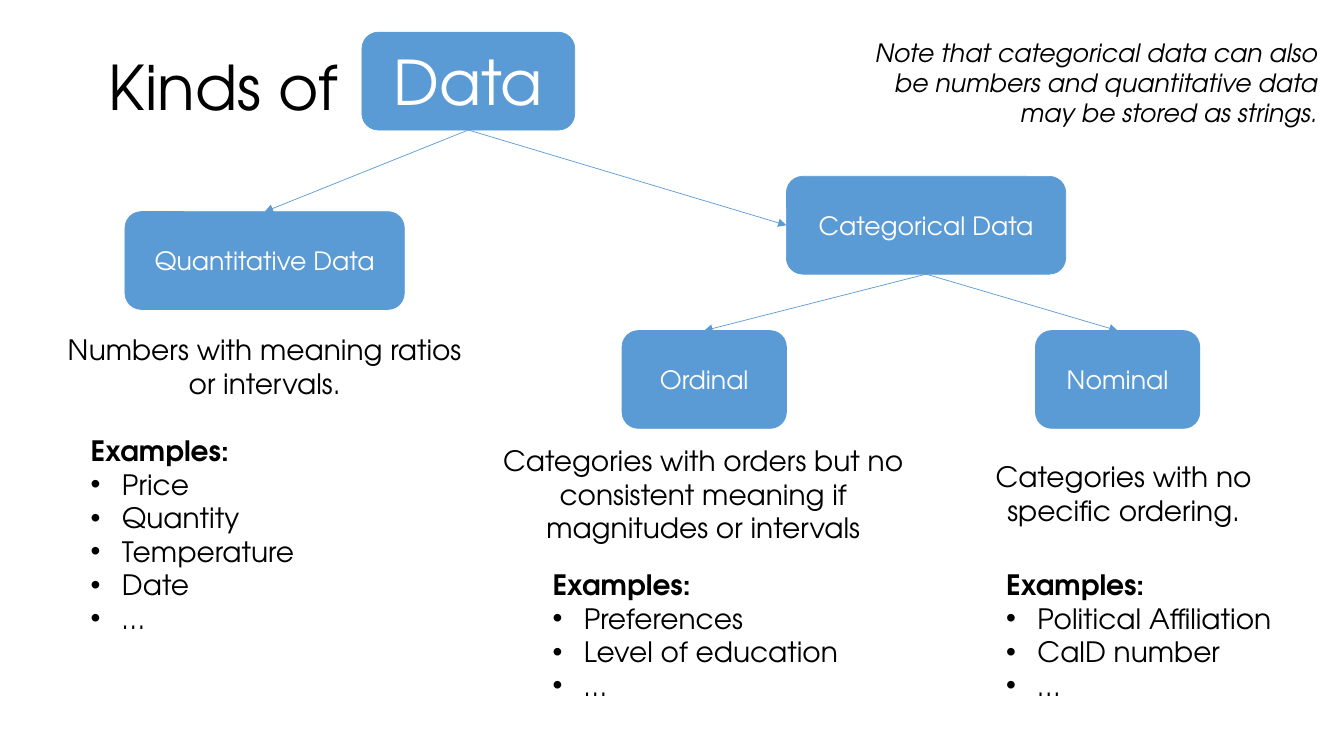
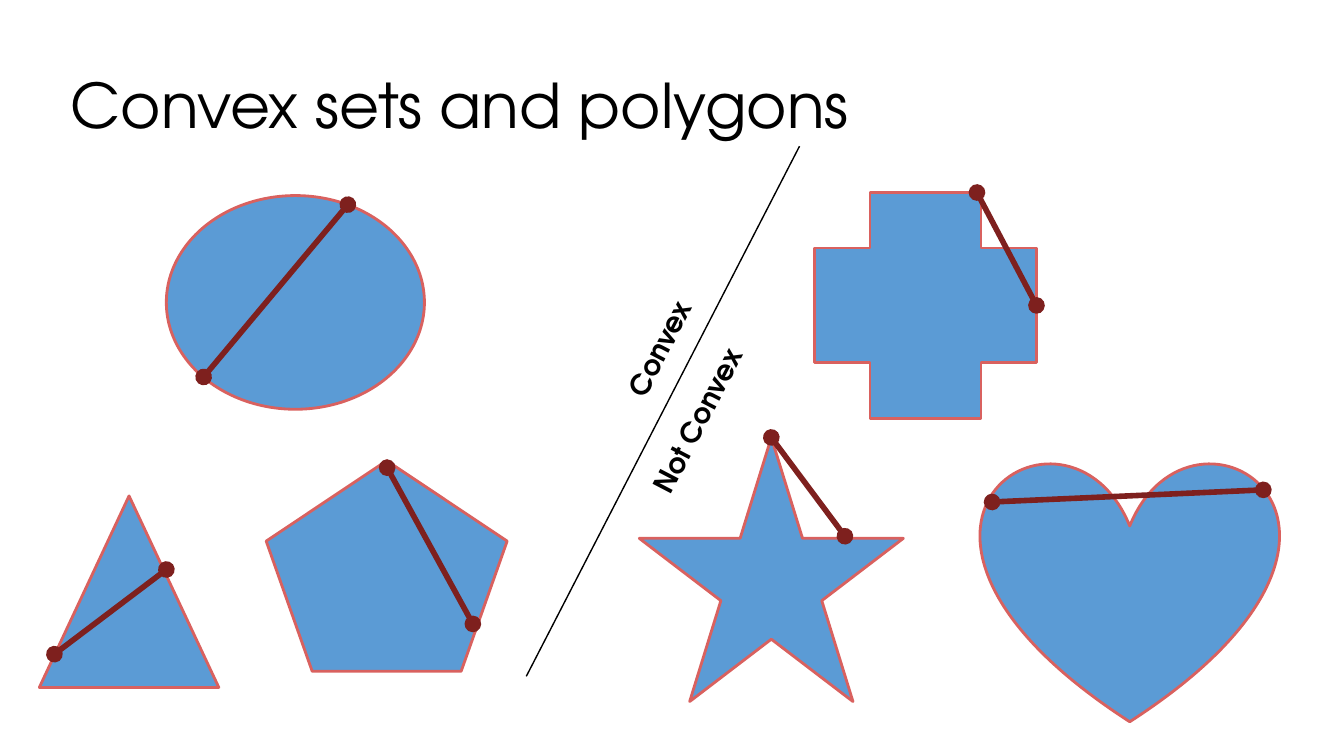
from dataclasses import dataclass

from lxml import etree
from pptx import Presentation
from pptx.dml.color import RGBColor
from pptx.enum.shapes import MSO_CONNECTOR, MSO_SHAPE
from pptx.enum.text import MSO_ANCHOR, MSO_AUTO_SIZE, PP_ALIGN
from pptx.oxml.ns import qn
from pptx.util import Pt

# Shared look: 100 px to the inch
PX = 9144
FONT = "TeX Gyre Adventor"
BLUE = RGBColor(0x5B, 0x9B, 0xD5)
CORAL = RGBColor(0xD9, 0x61, 0x5F)
MAROON = RGBColor(0x7E, 0x20, 0x1E)
BLACK = RGBColor(0, 0, 0)
WHITE = RGBColor(255, 255, 255)

LEFT, CENTER, RIGHT = PP_ALIGN.LEFT, PP_ALIGN.CENTER, PP_ALIGN.RIGHT
TOP, MIDDLE = MSO_ANCHOR.TOP, MSO_ANCHOR.MIDDLE
NO_FIT = MSO_AUTO_SIZE.NONE
STRAIGHT = MSO_CONNECTOR.STRAIGHT
ROUND = MSO_SHAPE.ROUNDED_RECTANGLE
OVAL = MSO_SHAPE.OVAL
TRIANGLE = MSO_SHAPE.ISOSCELES_TRIANGLE
PENTAGON = MSO_SHAPE.REGULAR_PENTAGON
CROSS = MSO_SHAPE.CROSS
HEART = MSO_SHAPE.HEART
STAR = MSO_SHAPE.STAR_5_POINT

# Layouts and the connection sites of a rounded box
COMPARE, TITLE_ONLY = 4, 5
UP, SIDE, DOWN = 0, 1, 2
INDENT = 31
TILT = 297.5


@dataclass(frozen=True)
class Box:
    left: int
    top: int
    width: int
    height: int

    def emu(self) -> tuple:
        return tuple(n * PX for n in (self.left, self.top, self.width, self.height))


@dataclass(frozen=True)
class Style:
    size: int = 20
    color: RGBColor = BLACK
    bold: bool = False
    italic: bool = False
    align: PP_ALIGN = LEFT
    anchor: MSO_ANCHOR = TOP


@dataclass(frozen=True)
class Node:
    name: str
    box: Box
    size: int = 18
    boss: str = ""
    site: int = UP


@dataclass(frozen=True)
class Group:
    slot: int
    box: Box
    items: tuple
    about: tuple
    place: Box


@dataclass(frozen=True)
class Figure:
    kind: MSO_SHAPE
    box: Box
    chord: tuple


HEAD = Style(size=44, anchor=MIDDLE)
BODY = Style()
BOLD = Style(bold=True)
ABOUT = Style(align=CENTER)
NOTE = Style(size=18, italic=True, align=RIGHT)

# Slide 1 content
NODES = (
    Node("Data", Box(359, 32, 211, 97), size=44),
    Node("Quantitative Data", Box(124, 210, 277, 97), boss="Data"),
    Node("Categorical Data", Box(780, 175, 277, 97), boss="Data", site=SIDE),
    Node("Ordinal", Box(617, 328, 163, 97), boss="Categorical Data"),
    Node("Nominal", Box(1027, 328, 163, 97), boss="Categorical Data"),
)
GROUPS = (
    Group(2, Box(80, 425, 226, 212),
          ("Price", "Quantity", "Temperature", "Date", "…"),
          ("Numbers with meaning ratios or intervals.",),
          Box(50, 325, 425, 77)),
    Group(4, Box(538, 558, 308, 145),
          ("Preferences", "Level of education", "…"),
          ("Categories with orders but no consistent meaning if "
           "magnitudes or intervals",),
          Box(485, 435, 425, 111)),
    Group(1, Box(988, 558, 289, 178),
          ("Political Affiliation", "CalD number", "…"),
          ("Categories with no", "specific ordering."),
          Box(902, 451, 425, 77)),
)
NOTE_SLOT = 3
NOTE_TEXT = ("Note that categorical data can also be numbers and "
             "quantitative data may be stored as strings.")

# Slide 2 content
FIGURES = (
    Figure(OVAL, Box(165, 194, 256, 212), (345, 203, 202, 374)),
    Figure(TRIANGLE, Box(39, 492, 178, 190), (165, 565, 54, 649)),
    Figure(PENTAGON, Box(264, 457, 239, 209), (384, 464, 469, 619)),
    Figure(CROSS, Box(808, 191, 220, 224), (969, 191, 1028, 303)),
    Figure(HEART, Box(973, 457, 295, 259), (984, 498, 1253, 486)),
    Figure(STAR, Box(634, 434, 262, 262), (765, 434, 838, 532)),
)
SPLIT = (793, 145, 522, 671)
LABELS = (
    ("Convex", Box(592, 322, 126, 44)),
    ("Not Convex", Box(602, 393, 182, 44)),
)


def dress(para, style: Style) -> None:
    """Format one paragraph and its runs."""
    para.alignment = style.align
    para.space_before = Pt(0)
    for run in para.runs:
        font = run.font
        font.name = FONT
        font.size = Pt(style.size)
        font.bold = style.bold
        font.italic = style.italic
        font.color.rgb = style.color


def mark(para, dot: bool) -> None:
    """Give a paragraph a hanging bullet, or clear an inherited one."""
    props = para._p.get_or_add_pPr()
    step = INDENT * PX if dot else 0
    props.set("marL", str(step))
    props.set("indent", str(-step))
    if dot:
        etree.SubElement(props, qn("a:buFont")).set("typeface", "Arial")
        etree.SubElement(props, qn("a:buChar")).set("char", "•")
    else:
        etree.SubElement(props, qn("a:buNone"))


def write(shape, lines: tuple, style: Style, wrap: bool = True) -> list:
    """Fill a shape with one paragraph a line."""
    frame = shape.text_frame
    frame.text = "\n".join(lines)
    frame.word_wrap = wrap
    frame.auto_size = NO_FIT
    frame.vertical_anchor = style.anchor
    for para in frame.paragraphs:
        dress(para, style)
    return list(frame.paragraphs)


def place(shape, box: Box):
    shape.left, shape.top, shape.width, shape.height = box.emu()
    return shape


def add_title(slide, text: str, box: Box) -> None:
    for para in write(place(slide.shapes.title, box), (text,), HEAD):
        para.line_spacing = 0.9


def add_text(slide, lines: tuple, box: Box, style: Style, wrap: bool = True):
    shape = slide.shapes.add_textbox(*box.emu())
    write(shape, lines, style, wrap)
    return shape


def add_form(slide, kind: MSO_SHAPE, box: Box, edge: RGBColor, width: float):
    shape = slide.shapes.add_shape(kind, *box.emu())
    shape.shadow.inherit = False
    shape.fill.solid()
    shape.fill.fore_color.rgb = BLUE
    shape.line.color.rgb = edge
    shape.line.width = Pt(width)
    return shape


def add_line(slide, ends: tuple, color: RGBColor, width: float,
             head: str = "", tail: str = ""):
    line = slide.shapes.add_connector(STRAIGHT, *(n * PX for n in ends))
    line.line.color.rgb = color
    line.line.width = Pt(width)
    stroke = line.line._get_or_add_ln()
    for tag, tip in (("a:headEnd", head), ("a:tailEnd", tail)):
        if tip:
            etree.SubElement(stroke, qn(tag)).set("type", tip)
    etree.SubElement(line._element.spPr, qn("a:effectLst"))
    return line


def add_tree(slide) -> None:
    """Draw the boxes, each joined to the one above it."""
    drawn = {}
    for node in NODES:
        shape = add_form(slide, ROUND, node.box, BLUE, 0.5)
        style = Style(node.size, WHITE, align=CENTER, anchor=MIDDLE)
        write(shape, (node.name,), style)
        drawn[node.name] = shape
        if node.boss:
            line = add_line(slide, (0, 0, 0, 0), BLUE, 0.5, tail="triangle")
            line.begin_connect(drawn[node.boss], DOWN)
            line.end_connect(shape, node.site)


def add_group(slide, group: Group) -> None:
    """Describe one kind of data and list its examples."""
    add_text(slide, group.about, group.place, ABOUT)
    shape = place(slide.placeholders[group.slot], group.box)
    paras = write(shape, ("Examples:", *group.items), BODY)
    for spot, para in enumerate(paras):
        mark(para, dot=spot > 0)
    dress(paras[0], BOLD)


def kinds(deck) -> None:
    slide = deck.slides.add_slide(deck.slide_layouts[COMPARE])
    add_title(slide, "Kinds of", Box(98, 17, 415, 145))
    add_tree(slide)
    for group in GROUPS:
        add_group(slide, group)
    note = place(slide.placeholders[NOTE_SLOT], Box(818, 32, 499, 101))
    for para in write(note, (NOTE_TEXT,), NOTE):
        mark(para, dot=False)


def convex(deck) -> None:
    slide = deck.slides.add_slide(deck.slide_layouts[TITLE_ONLY])
    add_title(slide, "Convex sets and polygons", Box(60, 35, 1181, 145))
    for item in FIGURES:
        add_form(slide, item.kind, item.box, CORAL, 2)
        add_line(slide, item.chord, MAROON, 4, head="oval", tail="oval")
    add_line(slide, SPLIT, BLACK, 1)
    for text, box in LABELS:
        add_text(slide, (text,), box, BOLD, wrap=False).rotation = TILT


def main() -> None:
    deck = Presentation()
    deck.slide_width, deck.slide_height = 1333 * PX, 750 * PX
    kinds(deck)
    convex(deck)
    deck.save("out.pptx")


if __name__ == "__main__":
    main()
